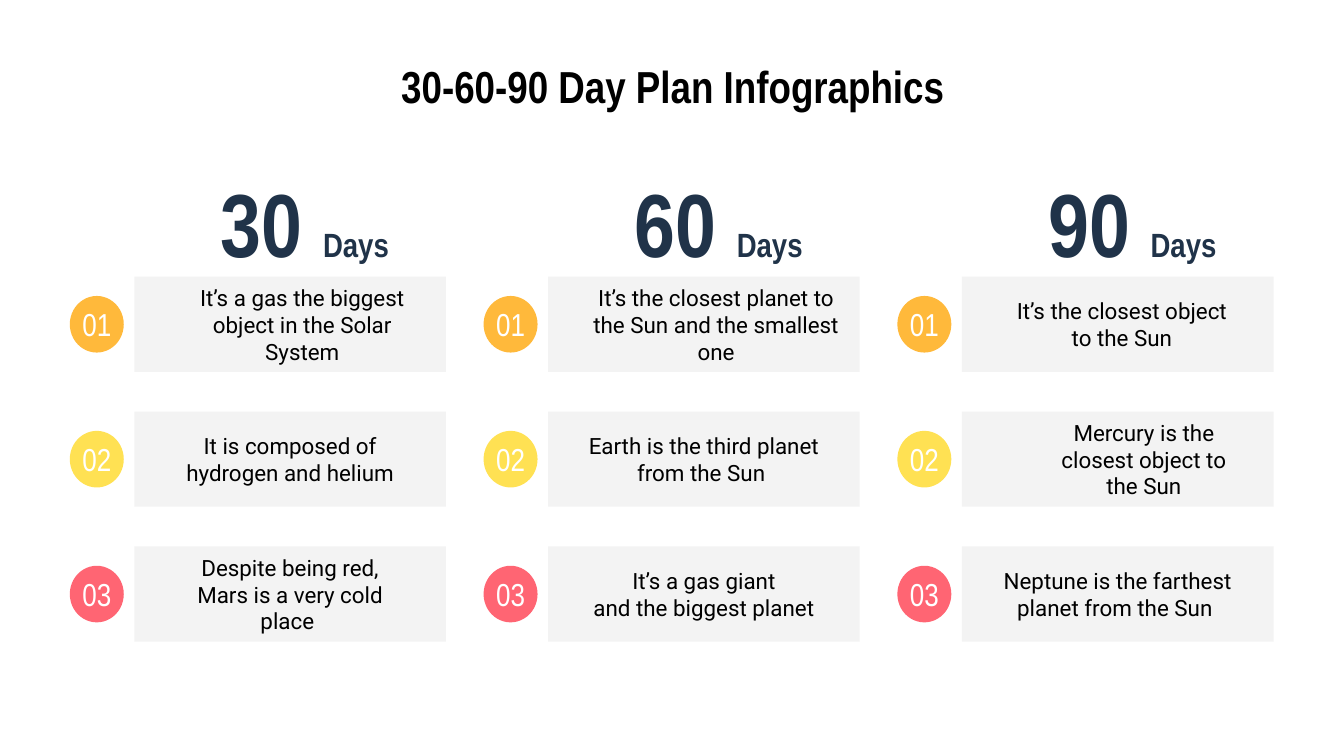
from dataclasses import dataclass

from pptx import Presentation
from pptx import util as u
from pptx.dml.color import RGBColor
from pptx.enum import shapes, text


@dataclass(frozen=True)
class Theme:
    ink: str = "000000"
    navy: str = "203349"
    panel: str = "F3F3F3"
    white: str = "FFFFFF"
    badges: tuple = ("FFB93B", "FFE153", "FF6573")
    display: str = "Arial Narrow"
    body: str = "Roboto"
    title_size: int = 24
    days_size: int = 48
    unit_size: int = 18
    badge_size: int = 17
    body_size: int = 12


T = Theme()

# Grid, in centimetres
LEFT, TOP = 2.54, 5.23
COL_STEP, ROW_STEP = 7.82, 2.55
PANEL_W, PANEL_H = 5.89, 1.8
BADGE_W, BADGE_H = 1.02, 1.07

# Left and right text insets of the panels
EVEN = (0.76, 0.76)
WIDE = (0.76, 0.3)
NARROW = (0.97, 0.81)
SHIFTED = (1.75, 0.76)

PLAN = [
    ("30", [("It’s a gas the biggest object in the Solar System", WIDE),
            ("It is composed of hydrogen and helium", EVEN),
            ("Despite being red, Mars is a very cold place ", EVEN)]),
    ("60", [("It’s the closest planet to the Sun and the smallest one", WIDE),
            ("Earth is the third planet from the Sun ", EVEN),
            ("It’s a gas giant\nand the biggest planet", EVEN)]),
    ("90", [("It’s the closest object to the Sun", NARROW),
            ("Mercury is the closest object to the Sun", SHIFTED),
            ("Neptune is the farthest planet from the Sun ", EVEN)]),
]


def set_font(font, name, size, color, bold=False):
    font.name, font.size, font.bold = name, u.Pt(size), bold
    font.color.rgb = RGBColor.from_string(color)


def set_frame(tf, insets=(0.25, 0.25), anchor=text.MSO_ANCHOR.MIDDLE):
    tf.word_wrap = True
    tf.vertical_anchor = anchor
    tf.margin_left, tf.margin_right = (u.Cm(i) for i in insets)
    tf.margin_top = tf.margin_bottom = u.Cm(0.25)


def add_filled(s, kind, box, fill, content, insets, font):
    sp = s.shapes.add_shape(kind, *map(u.Cm, box))
    sp.shadow.inherit = False
    sp.fill.solid()
    sp.fill.fore_color.rgb = RGBColor.from_string(fill)
    sp.line.fill.background()
    set_frame(sp.text_frame, insets)
    p = sp.text_frame.paragraphs[0]
    p.text = content
    p.alignment = text.PP_ALIGN.CENTER
    set_font(p.font, *font)


def add_title(s, content):
    tf = s.shapes.add_textbox(*map(u.Cm, (0.51, 0.86, 24.41, 1.6))).text_frame
    set_frame(tf, anchor=text.MSO_ANCHOR.TOP)
    p = tf.paragraphs[0]
    p.text = content
    p.alignment = text.PP_ALIGN.CENTER
    set_font(p.font, T.display, T.title_size, T.ink, bold=True)


def add_heading(s, x, days):
    box = (x + 0.82, 3.25, 4.24, 1.88)
    tf = s.shapes.add_textbox(*map(u.Cm, box)).text_frame
    set_frame(tf)
    p = tf.paragraphs[0]
    p.alignment = text.PP_ALIGN.RIGHT
    for content, size in ((days + " ", T.days_size), ("Days", T.unit_size)):
        r = p.add_run()
        r.text = content
        set_font(r.font, T.display, size, T.navy, bold=True)


def add_step(s, x, row, content, insets):
    y = TOP + row * ROW_STEP
    add_filled(s, shapes.MSO_SHAPE.RECTANGLE, (x, y, PANEL_W, PANEL_H),
               T.panel, content, insets, (T.body, T.body_size, T.ink))
    badge = (x - 1.22, y + (PANEL_H - BADGE_H) / 2, BADGE_W, BADGE_H)
    add_filled(s, shapes.MSO_SHAPE.OVAL, badge, T.badges[row],
               f"{row + 1:02}", (0, 0), (T.display, T.badge_size, T.white))


def main():
    prs = Presentation()
    prs.slide_width, prs.slide_height = u.Cm(25.4), u.Cm(14.29)
    s = prs.slides.add_slide(prs.slide_layouts[6])

    add_title(s, "30-60-90 Day Plan Infographics")

    # One column per period
    for col, (days, steps) in enumerate(PLAN):
        x = LEFT + col * COL_STEP
        add_heading(s, x, days)
        for row, (content, insets) in enumerate(steps):
            add_step(s, x, row, content, insets)

    prs.save("out.pptx")


if __name__ == "__main__":
    main()
